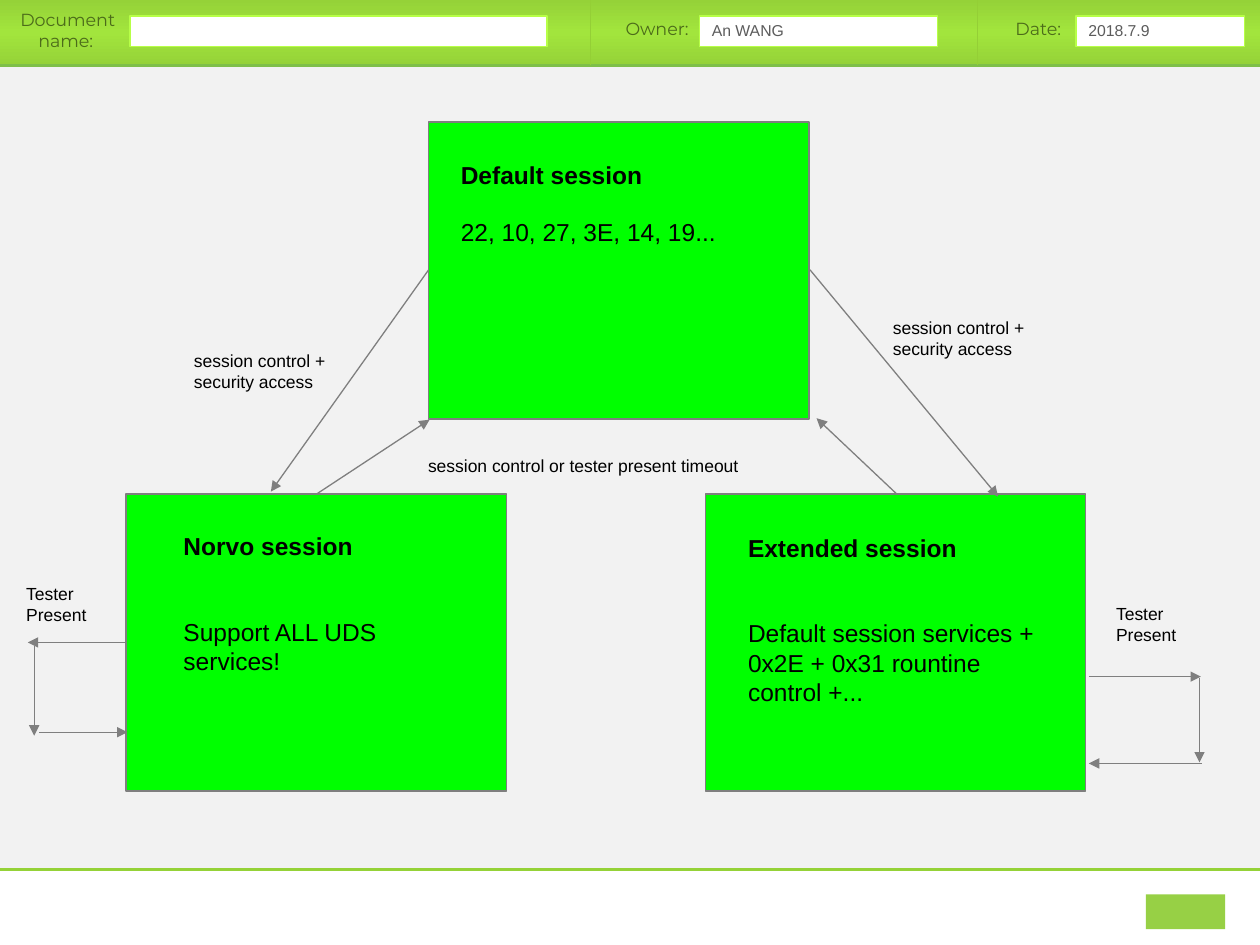
import copy
import pptx
import pptx.util
import pptx.dml.color
import pptx.enum.shapes
import pptx.enum.text
import pptx.oxml
import pptx.oxml.ns

Cm = pptx.util.Cm
Pt = pptx.util.Pt
RGBColor = pptx.dml.color.RGBColor
ALIGN = pptx.enum.text.PP_ALIGN
ANCHOR = pptx.enum.text.MSO_ANCHOR
RECT = pptx.enum.shapes.MSO_SHAPE.RECTANGLE
STRAIGHT = pptx.enum.shapes.MSO_CONNECTOR.STRAIGHT

WHITE = RGBColor(0xFF, 0xFF, 0xFF)
BLACK = RGBColor(0, 0, 0)
CANVAS = RGBColor(0xF2, 0xF2, 0xF2)
SESSION_GREEN = RGBColor(0, 0xFF, 0)
GRAY = RGBColor(0x7F, 0x7F, 0x7F)
BAR_EDGE = RGBColor(0x95, 0xD2, 0x38)
BAR_MIDDLE = RGBColor(0xA2, 0xE5, 0x3D)
BAR_RULE = RGBColor(0x7E, 0xBF, 0x49)
DIVIDER = RGBColor(0x94, 0xCF, 0x36)
FIELD_EDGE = RGBColor(0xB7, 0xFF, 0x47)
LABEL_GREEN = RGBColor(0x4C, 0x6C, 0x1A)
FIELD_GRAY = RGBColor(0x5C, 0x5C, 0x5C)
MARK_GREEN = RGBColor(0x97, 0xD0, 0x45)

WIDTH, HEIGHT = 25.4, 19.05
BAR_HEIGHT, FOOTER_TOP = 1.32, 17.53
FIELD_TOP, FIELD_HEIGHT = 0.33, 0.61
SESSION_SIZE = (7.67, 5.99)

LABEL = {"name": "Montserrat", "size": Pt(10), "color": LABEL_GREEN}
FIELD = {"name": "Arial", "size": Pt(9), "color": FIELD_GRAY}
NOTE = {"name": "Arial", "size": Pt(10), "color": BLACK}
BODY = {"name": "Arial", "size": Pt(14), "color": BLACK}
HEADING = {**BODY, "bold": True}

HEADER_LABELS = [
    ((0.08, 0.05, 2.49, 1.12), [("Document", ALIGN.RIGHT), ("name:", ALIGN.CENTER)]),
    ((12.29, 0.23, 1.91, 0.69), [("Owner:", ALIGN.CENTER)]),
    ((20.17, 0.23, 1.52, 0.69), [("Date:", ALIGN.CENTER)]),
]
HEADER_FIELDS = [(2.62, 8.41, ""), (14.1, 4.8, "An WANG"), (21.69, 3.4, "2018.7.9")]
RULES = [
    ((0, BAR_HEIGHT), (WIDTH, BAR_HEIGHT), BAR_RULE, 1.5),
    ((0, FOOTER_TOP), (WIDTH, FOOTER_TOP), BAR_EDGE, 1.5),
    ((11.91, 0), (11.91, BAR_HEIGHT), DIVIDER, 0.75),
    ((19.71, 0), (19.71, BAR_HEIGHT), DIVIDER, 0.75),
]
SESSIONS = [
    ((2.54, 9.96), (3.45, 10.46, 5.99, 4.9), "Norvo session", 32,
     ["Support ALL UDS services!"]),
    ((14.22, 9.96), (14.83, 10.49, 6.53, 5.16), "Extended session", 32,
     ["Default session services +", "0x2E + 0x31 rountine control +..."]),
    ((8.64, 2.46), (9.04, 2.97, 6.53, 4.9), "Default session", 16,
     ["22, 10, 27, 3E, 14, 19..."]),
]
NOTES = [
    ((3.66, 6.81, 3.56, 2.01), ["session control + security access"]),
    ((17.75, 6.15, 3.56, 2.01), ["session control + security access"]),
    ((8.38, 8.97, 8.2, 0.97), ["session control or tester present timeout"]),
    ((0.28, 11.51, 2.26, 1.24), ["Tester", "Present"]),
    ((22.25, 11.91, 2.26, 1.24), ["Tester", "Present"]),
]
TRANSITIONS = [
    ((16.33, 5.44), (20.12, 10.01)),
    ((18.08, 9.96), (16.46, 8.43)),
    ((8.64, 5.44), (5.46, 9.91)),
    ((6.38, 9.96), (8.66, 8.46)),
    ((21.95, 13.64), (24.21, 13.64)),
    ((24.18, 13.67), (24.18, 15.37)),
    ((24.23, 15.39), (21.95, 15.39)),
    ((2.54, 12.95), (0.56, 12.95)),
    ((0.69, 13.03), (0.69, 14.83)),
    ((0.79, 14.76), (2.57, 14.76)),
]

deck = pptx.Presentation()
deck.slide_width, deck.slide_height = Cm(WIDTH), Cm(HEIGHT)
slide = deck.slides.add_slide(deck.slide_layouts[6])


def add_block(place, fill, edge=None, edge_width=0.75):
    block = slide.shapes.add_shape(RECT, *map(Cm, place))
    block.shadow.inherit = False
    block.fill.solid()
    block.fill.fore_color.rgb = fill
    if edge is None:
        block.line.fill.background()
    else:
        block.line.color.rgb = edge
        block.line.width = Pt(edge_width)
    return block


def add_line(start, end, color, width, arrow=False):
    line = slide.shapes.add_connector(STRAIGHT, *map(Cm, start + end))
    line.line.color.rgb = color
    line.line.width = Pt(width)
    if arrow:
        tail = pptx.oxml.parse_xml(
            f'<a:tailEnd {pptx.oxml.ns.nsdecls("a")} type="triangle"/>')
        line.line._get_or_add_ln().append(tail)
    line._element.spPr.append(
        pptx.oxml.parse_xml(f'<a:effectLst {pptx.oxml.ns.nsdecls("a")}/>'))


def write(holder, paragraphs, inset=0.25, anchor=ANCHOR.TOP):
    frame = holder.text_frame
    layout = {"word_wrap": True, "vertical_anchor": anchor,
              "margin_left": Cm(0.25), "margin_right": Cm(0.25),
              "margin_top": Cm(inset), "margin_bottom": Cm(inset)}
    for key, value in layout.items():
        setattr(frame, key, value)
    for index, (words, style, spacing) in enumerate(paragraphs):
        paragraph = frame.add_paragraph() if index else frame.paragraphs[0]
        for key, value in spacing.items():
            setattr(paragraph, key, value)
        run = paragraph.add_run()
        run.text = words
        for key, value in style.items():
            if key == "color":
                run.font.color.rgb = value
            else:
                setattr(run.font, key, value)


def add_text(place, paragraphs, inset=0.25):
    write(slide.shapes.add_textbox(*map(Cm, place)), paragraphs, inset)


add_block((0, BAR_HEIGHT, WIDTH, FOOTER_TOP - BAR_HEIGHT), CANVAS)
header_bar = add_block((0, 0, WIDTH, BAR_HEIGHT), BAR_EDGE)
header_bar.fill.gradient()
header_bar.fill.gradient_angle = 90
stops = header_bar._element.spPr.find(".//" + pptx.oxml.ns.qn("a:gsLst"))
stops.insert(1, copy.deepcopy(stops[0]))
for stop, position, color in zip(header_bar.fill.gradient_stops, (0, 0.5, 1),
                                 (BAR_EDGE, BAR_MIDDLE, BAR_EDGE)):
    stop.position = position
    stop.color.rgb = color

for start, end, color, width in RULES:
    add_line(start, end, color, width)
for place, lines in HEADER_LABELS:
    add_text(place, [(words, LABEL, {"alignment": side}) for words, side in lines], 0.13)
for left, width, entry in HEADER_FIELDS:
    field = add_block((left, FIELD_TOP, width, FIELD_HEIGHT), WHITE, FIELD_EDGE, 1)
    if entry:
        spacing = {"alignment": ALIGN.LEFT, "line_spacing": 0.9}
        write(field, [(entry, FIELD, spacing)], 0.13, ANCHOR.MIDDLE)

for corner, place, heading, gap, services in SESSIONS:
    add_block(corner + SESSION_SIZE, SESSION_GREEN, GRAY)
    add_text(place, [(heading, HEADING, {"space_after": Pt(gap)})]
             + [(service, BODY, {}) for service in services])
for start, end in TRANSITIONS:
    add_line(start, end, GRAY, 0.75, arrow=True)
for place, lines in NOTES:
    add_text(place, [(words, NOTE, {}) for words in lines])

add_block((23.1, 18.03, 1.6, 0.7), MARK_GREEN)

deck.save("out.pptx")
